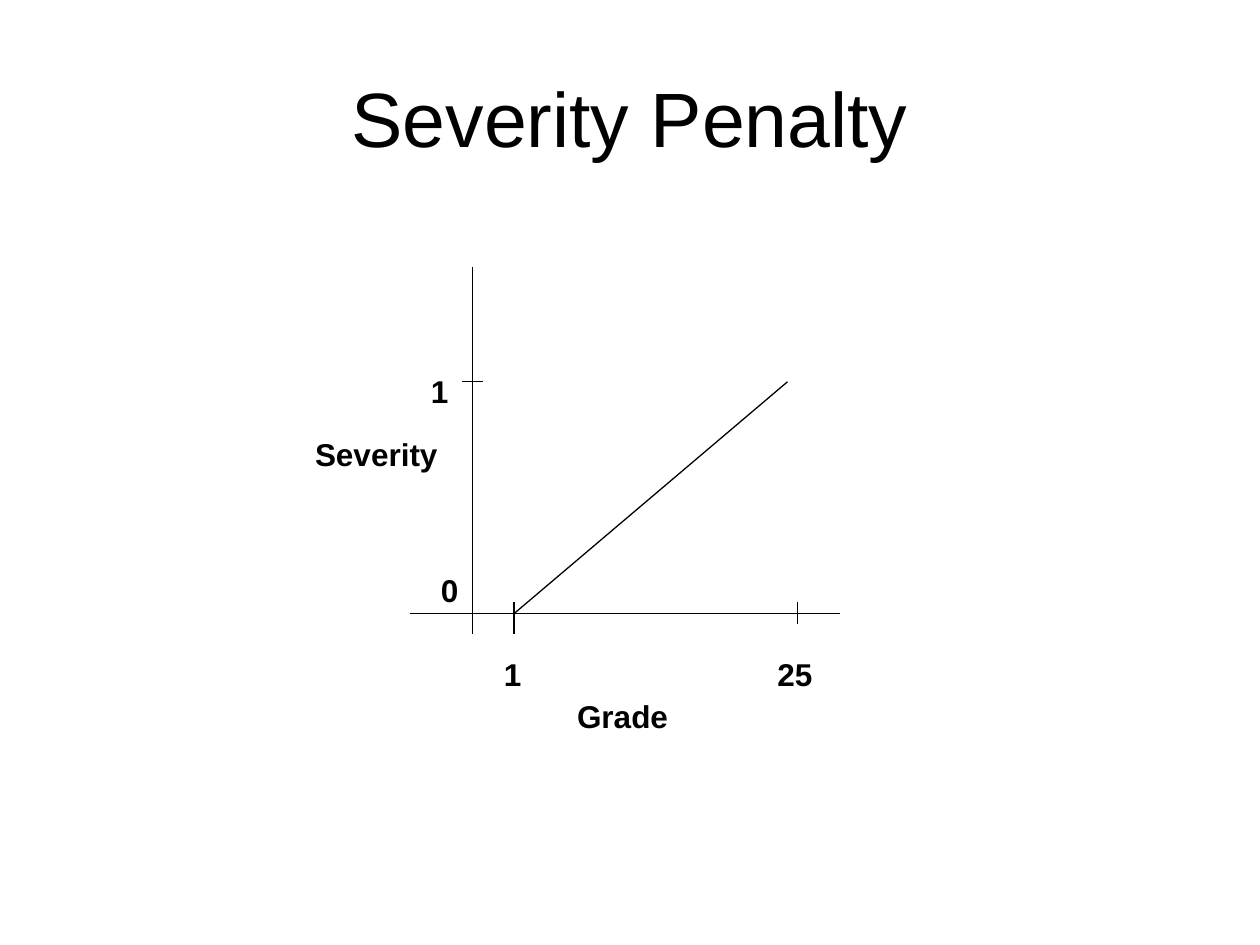
from typing import NamedTuple

from lxml.etree import SubElement
from pptx import Presentation
from pptx.dml.color import RGBColor
from pptx.enum.shapes import MSO_CONNECTOR
from pptx.enum.text import MSO_ANCHOR, MSO_AUTO_SIZE, PP_ALIGN
from pptx.oxml.ns import qn
from pptx.util import Inches, Pt

BLACK = RGBColor(0x00, 0x00, 0x00)
FONT = "Arial"


class Line(NamedTuple):
    x1: float
    y1: float
    x2: float
    y2: float


class Label(NamedTuple):
    text: str
    left: float
    top: float
    width: float


# Key positions of the graph, in inches
SEVERITY_AXIS_X = 3.75
GRADE_AXIS_Y = 4.87
GRADE_1_X, GRADE_25_X = 4.08, 6.33
SEVERITY_1_Y = 3.03
TICK_TOP, AXIS_BOTTOM = 4.78, 5.03
LABEL_HEIGHT = 0.3
GRADE_LABEL_TOP = 5.2

AXES = [
    Line(SEVERITY_AXIS_X, 2.12, SEVERITY_AXIS_X, AXIS_BOTTOM),
    Line(3.25, GRADE_AXIS_Y, 6.67, GRADE_AXIS_Y),
]
TICKS = [
    Line(GRADE_1_X, TICK_TOP, GRADE_1_X, AXIS_BOTTOM),
    Line(GRADE_25_X, TICK_TOP, GRADE_25_X, 4.95),
    Line(SEVERITY_AXIS_X - 0.08, SEVERITY_1_Y, SEVERITY_AXIS_X + 0.08, SEVERITY_1_Y),
]
PENALTY = Line(GRADE_1_X, GRADE_AXIS_Y, 6.25, SEVERITY_1_Y)

LABELS = [
    Label("1", 3.42, 2.95, 0.14),
    Label("0", 3.5, 4.53, 0.14),
    Label("Severity", 2.5, 3.45, 0.99),
    Label("1", 4, GRADE_LABEL_TOP, 0.14),
    Label("25", 6.17, GRADE_LABEL_TOP, 0.28),
    Label("Grade", 4.58, 5.53, 0.74),
]


def add_text(slide, text: str, left: float, top: float, width: float, height: float, *,
             size: float, bold: bool = False, align: PP_ALIGN = PP_ALIGN.LEFT,
             anchor: MSO_ANCHOR = MSO_ANCHOR.TOP, wrap: bool = False,
             fit: MSO_AUTO_SIZE = MSO_AUTO_SIZE.NONE,
             inset_x: float = 0, inset_y: float = 0) -> None:
    box = slide.shapes.add_textbox(Inches(left), Inches(top), Inches(width), Inches(height))
    frame = box.text_frame
    frame.word_wrap, frame.auto_size, frame.vertical_anchor = wrap, fit, anchor
    frame.margin_left = frame.margin_right = Inches(inset_x)
    frame.margin_top = frame.margin_bottom = Inches(inset_y)
    paragraph = frame.paragraphs[0]
    paragraph.alignment = align
    run = paragraph.add_run()
    run.text = text
    run.font.name, run.font.size, run.font.bold = FONT, Pt(size), bold
    run.font.color.rgb = BLACK


def add_line(slide, line: Line) -> None:
    connector = slide.shapes.add_connector(
        MSO_CONNECTOR.STRAIGHT, *(Inches(value) for value in line))
    connector.line.color.rgb = BLACK
    connector.line.width = Pt(0.75)
    SubElement(connector._element.spPr, qn("a:effectLst"))


def main() -> None:
    prs = Presentation()
    prs.slide_width, prs.slide_height = Inches(10), Inches(7.5)
    slide = prs.slides.add_slide(prs.slide_layouts[6])

    # Title
    add_text(slide, "Severity Penalty", 0.5, 0.3, 9, 1.25, size=44, wrap=True,
             align=PP_ALIGN.CENTER, anchor=MSO_ANCHOR.MIDDLE, inset_x=0.1, inset_y=0.05)

    # Axes and tick marks
    for line in AXES + TICKS:
        add_line(slide, line)

    # Axis names and values
    for label in LABELS:
        add_text(slide, *label, LABEL_HEIGHT, size=18, bold=True,
                 fit=MSO_AUTO_SIZE.SHAPE_TO_FIT_TEXT)

    # Penalty rising with the grade
    add_line(slide, PENALTY)

    prs.save("out.pptx")


if __name__ == "__main__":
    main()
